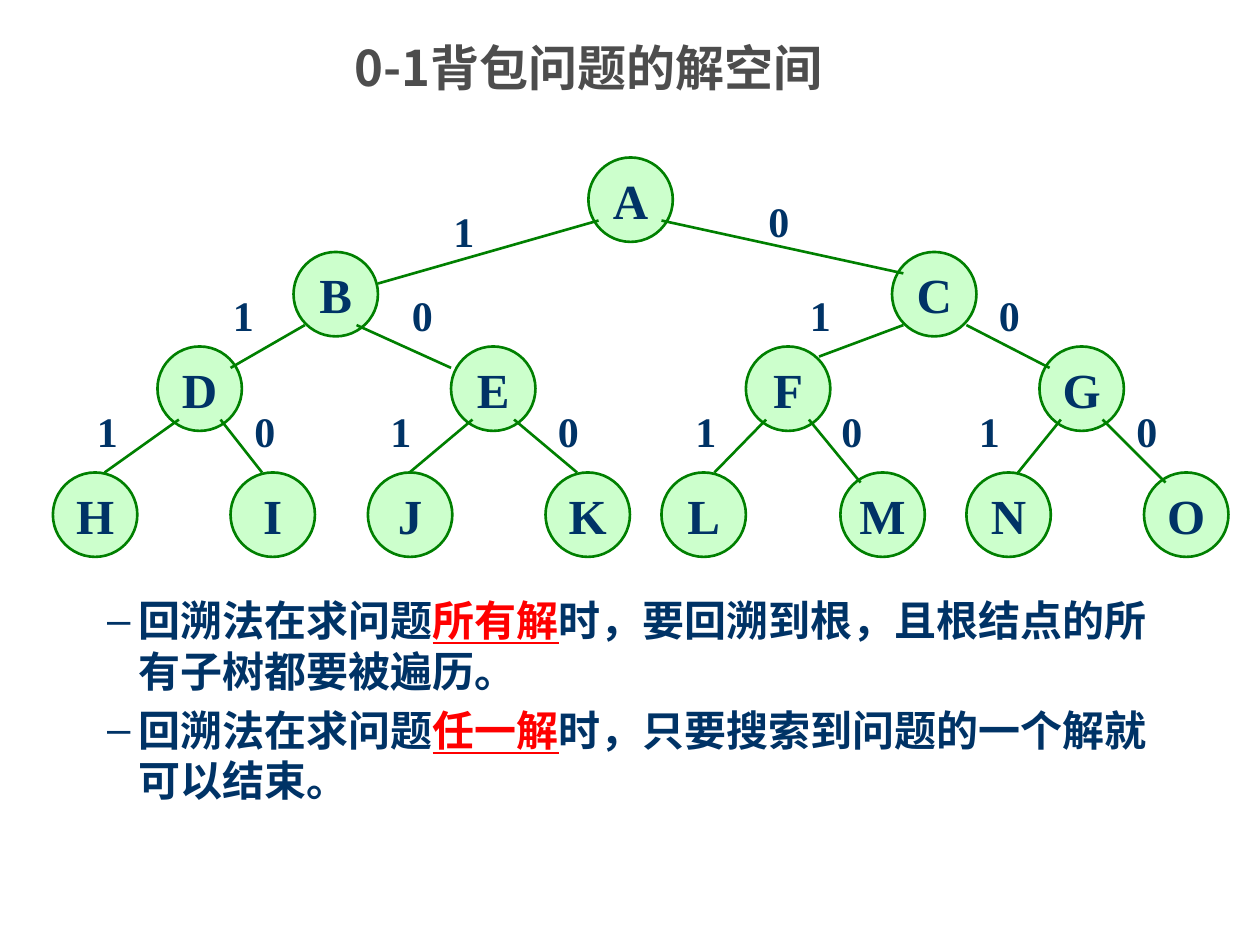
from lxml.etree import SubElement
from pptx import Presentation
from pptx.dml.color import RGBColor
from pptx.enum.lang import MSO_LANGUAGE_ID as LANG
from pptx.enum.shapes import MSO_CONNECTOR as CONN, MSO_SHAPE as SHAPE
from pptx.enum.text import MSO_ANCHOR as ANCHOR, MSO_AUTO_SIZE as AUTO, PP_ALIGN as ALIGN
from pptx.oxml.ns import qn
from pptx.util import Inches, Pt

NAVY, GREEN, MINT, GRAY, RED = "003366", "008000", "CCFFCC", "4D4D4D", "FF0000"
SERIF, SANS = "Times New Roman", "Noto Sans CJK SC"
NODE = 0.67


def rgb(value):
    """Turn a hex string into a colour."""
    return RGBColor.from_string(value)


def assign(obj, values):
    """Set attributes from a dict."""
    for name, value in values.items():
        setattr(obj, name, value)


class TreeSlide:
    """Holds the style and the current slide."""

    def __init__(self, prs):
        """Add a slide with title and body placeholders."""
        self.slide = prs.slides.add_slide(prs.slide_layouts[1])
        self.shapes = self.slide.shapes

    def place(self, sp, left, top, width, height):
        """Move and size a shape."""
        box = zip(("left", "top", "width", "height"), (left, top, width, height))
        assign(sp, {name: Inches(value) for name, value in box})

    def run(self, p, text, size, color=NAVY, font=SERIF, **extra):
        """Add a bold run with Latin and East Asian fonts."""
        r = p.add_run()
        r.text = text
        assign(r.font, {"name": font, "size": Pt(size), "bold": True,
                        "language_id": LANG.SIMPLIFIED_CHINESE, **extra})
        r.font.color.rgb = rgb(color)
        SubElement(r.font._element, qn("a:ea")).set("typeface", SANS)

    def title(self, text):
        """Fill the title placeholder."""
        sp = self.shapes.title
        self.place(sp, 0.42, 0.25, 8.5, 1)
        assign(sp.text_frame, {"vertical_anchor": ANCHOR.TOP, "auto_size": AUTO.NONE})
        p = sp.text_frame.paragraphs[0]
        p.alignment = ALIGN.CENTER
        self.run(p, text, 28, GRAY, SANS)

    def node(self, text, left, top):
        """Draw a tree node."""
        sp = self.shapes.add_shape(SHAPE.OVAL, *map(Inches, (left, top, NODE, NODE)))
        sp.shadow.inherit = False
        sp.fill.solid()
        sp.fill.fore_color.rgb = rgb(MINT)
        sp.line.color.rgb = rgb(GREEN)
        sp.line.width = Pt(1.5)
        tf = sp.text_frame
        assign(tf, {"vertical_anchor": ANCHOR.MIDDLE, "word_wrap": False})
        tf.paragraphs[0].alignment = ALIGN.CENTER
        self.run(tf.paragraphs[0], text, 28)

    def edge(self, x1, y1, x2, y2):
        """Draw a tree edge."""
        line = self.shapes.add_connector(CONN.STRAIGHT, *map(Inches, (x1, y1, x2, y2)))
        line.line.color.rgb = rgb(GREEN)
        line.line.width = Pt(1.5)
        SubElement(line._element.spPr, qn("a:effectLst"))

    def label(self, text, left, top):
        """Write the bit beside an edge."""
        sp = self.shapes.add_textbox(*map(Inches, (left, top, NODE, 0.5)))
        sp.text_frame.word_wrap = True
        self.run(sp.text_frame.paragraphs[0], text, 24)

    def bullets(self, items):
        """Fill the body with dashed items that stress their middle part."""
        sp = self.shapes.placeholders[1]
        self.place(sp, 0.5, 4.67, 9, 2.12)
        tf = sp.text_frame
        assign(tf, {"auto_size": AUTO.NONE, "vertical_anchor": ANCHOR.TOP})
        for i, (before, stress, after) in enumerate(items):
            p = tf.add_paragraph() if i else tf.paragraphs[0]
            assign(p, {"level": 1, "line_spacing": 1.0, "space_before": Pt(5)})
            pPr = p._p.get_or_add_pPr()
            pPr.set("marL", str(Inches(0.5)))
            pPr.set("indent", str(Inches(-0.25)))
            SubElement(pPr, qn("a:buChar")).set("char", "–")
            self.run(p, before, 24)
            self.run(p, stress, 24, RED, underline=True)
            self.run(p, after, 24)


NODE_ROWS = [
    (1.25, "A", [4.67]),
    (2, "BC", [2.33, 7.08]),
    (2.75, "DEFG", [1.25, 3.58, 5.92, 8.25]),
    (3.75, "HIJKLMNO", [0.42, 1.83, 2.92, 4.33, 5.25, 6.67, 7.67, 9.08]),
]
EDGE_ROWS = [
    (1.75, [(4.75, 3, 2.25), (5.25, 7.17, 2.17)]),
    (2.58, [(2.42, 1.83, 2.92), (2.83, 3.58, 2.92), (7.17, 6.5, 2.83), (7.67, 8.33, 2.92)]),
    (3.33, [(1.42, 0.83, 3.75), (1.75, 2.08, 3.75), (3.75, 3.25, 3.75), (4.08, 4.58, 3.75),
            (6.08, 5.67, 3.75), (6.42, 6.83, 3.83), (8.42, 8.08, 3.75), (8.75, 9.25, 3.83)]),
]
LABEL_ROWS = [
    ((1.58, 1.5), [3.5, 6]),
    ((2.25, 2.25), [1.75, 3.17, 6.33, 7.83]),
    ((3.17, 3.17), [0.67, 1.92, 3, 4.33, 5.42, 6.58, 7.67, 8.92]),
]

prs = Presentation()
assign(prs, {"slide_width": Inches(10), "slide_height": Inches(7.5)})
s = TreeSlide(prs)
s.title("0-1背包问题的解空间")
for top, names, lefts in NODE_ROWS:
    for name, left in zip(names, lefts):
        s.node(name, left, top)
for start_y, edges in EDGE_ROWS:
    for start_x, end_x, end_y in edges:
        s.edge(start_x, start_y, end_x, end_y)
for tops, lefts in LABEL_ROWS:
    for i, left in enumerate(lefts):
        s.label("10"[i % 2], left, tops[i % 2])
s.bullets([
    ("回溯法在求问题", "所有解", "时，要回溯到根，且根结点的所有子树都要被遍历。"),
    ("回溯法在求问题", "任一解", "时，只要搜索到问题的一个解就可以结束。"),
])
prs.save("out.pptx")
